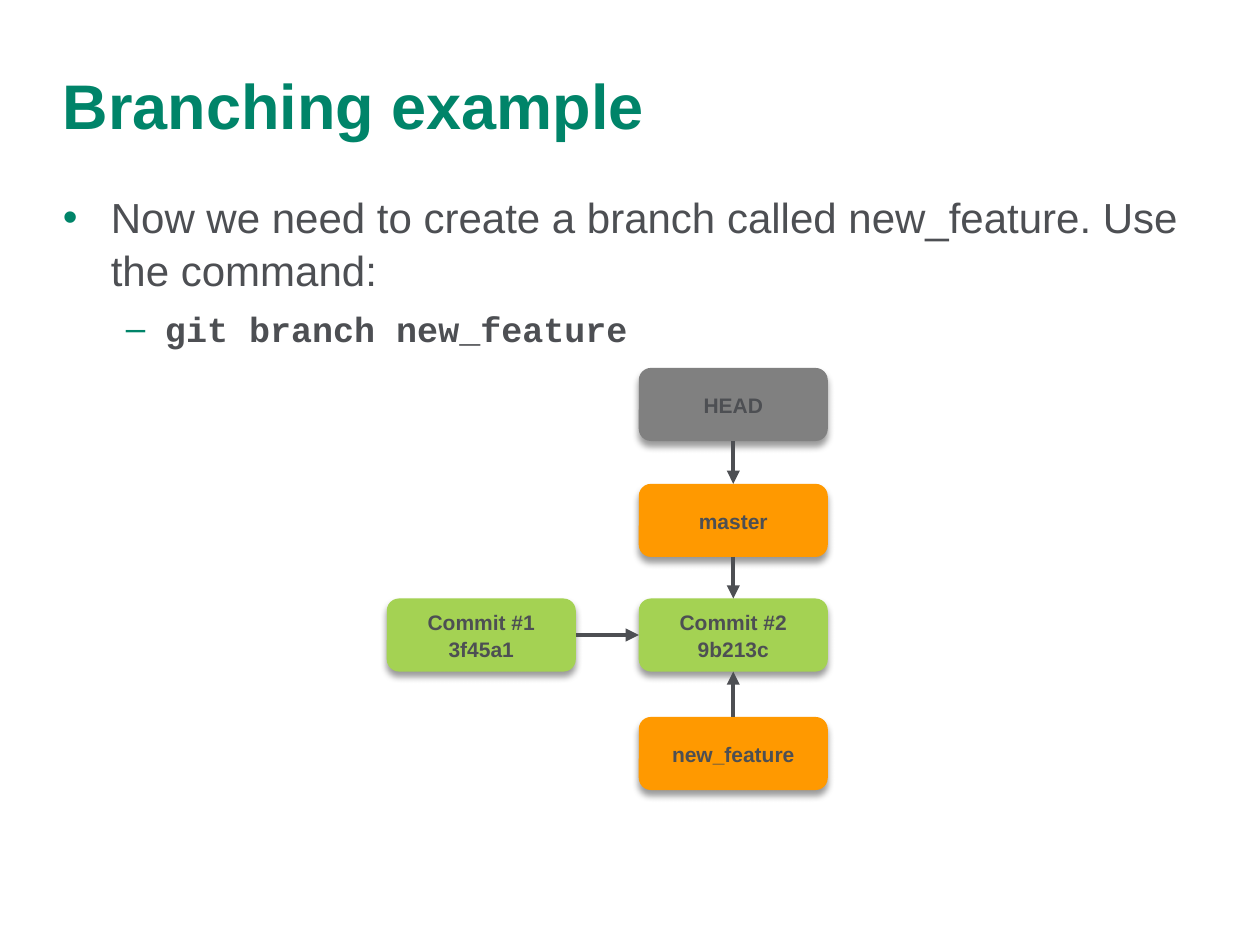
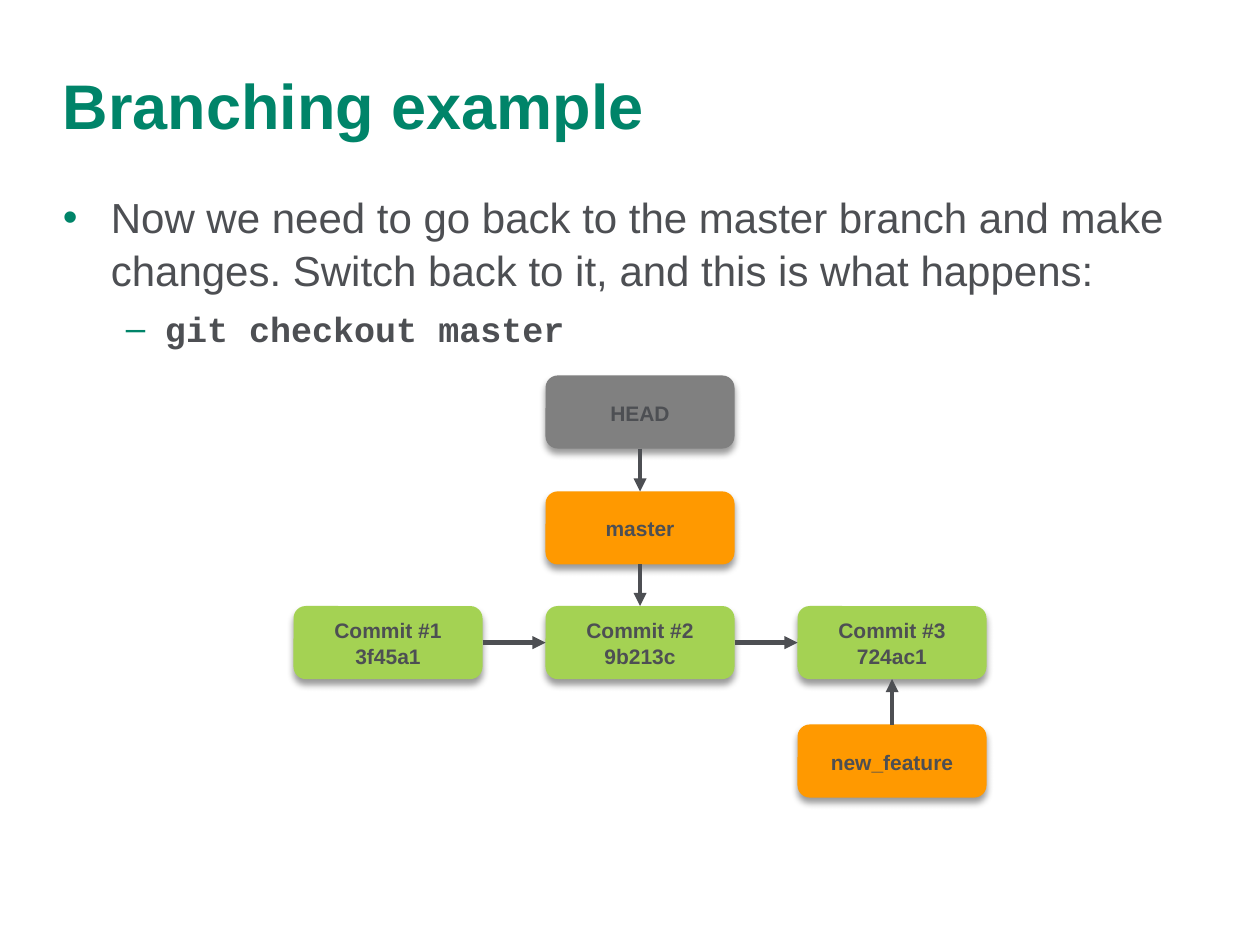
from lxml.etree import SubElement
from pptx import Presentation
from pptx.dml.color import RGBColor
from pptx.enum.shapes import MSO_CONNECTOR, MSO_SHAPE
from pptx.enum.text import MSO_ANCHOR, PP_ALIGN
from pptx.oxml import parse_xml
from pptx.oxml.ns import nsdecls, qn
from pptx.util import Inches, Pt

GREEN = RGBColor(0x00, 0x84, 0x69)
TEXT = RGBColor(0x4D, 0x4F, 0x53)
COMMIT = RGBColor(0xA4, 0xD2, 0x53)
BRANCH = RGBColor(0xFF, 0x99, 0x00)
HEAD = RGBColor(0x80, 0x80, 0x80)

# Diagram grid, in inches
COLUMN_STEP = 2
ROW_TOPS = [0, 0.92, 1.83, 2.77]
NODE_WIDTH, NODE_HEIGHT = 1.5, 0.58

# Connection sites of a rounded rectangle
TOP, LEFT, BOTTOM, RIGHT = range(4)

# Bullet, left margin, hanging indent, font, size and weight of each level
LEVELS = [
    ("•", 0.38, 0.38, "Arial", 24, False),
    ("–", 0.81, 0.31, "Courier New", 20, True),
]

SHADOW = f"""<a:effectLst {nsdecls("a")}>
  <a:outerShdw blurRad="{Pt(4)}" dist="{Pt(3)}" dir="5400000" rotWithShape="0">
    <a:srgbClr val="000000"><a:alpha val="40000"/></a:srgbClr>
  </a:outerShdw>
</a:effectLst>"""

# Nodes: text, column, row, fill. Arrows: start, its site, end, its site.
SHARED_NODES = [
    ("Commit #1\n3f45a1", 0, 2, COMMIT),
    ("Commit #2\n9b213c", 1, 2, COMMIT),
    ("master", 1, 1, BRANCH),
    ("HEAD", 1, 0, HEAD),
]
SHARED_ARROWS = [
    ("Commit #1", RIGHT, "Commit #2", LEFT),
    ("HEAD", BOTTOM, "master", TOP),
    ("master", BOTTOM, "Commit #2", TOP),
]
SLIDES = [
    {
        "body": ["Now we need to create a branch called new_feature. Use the command:",
                 "git branch new_feature"],
        "origin": (3.07, 2.92),
        "nodes": [("new_feature", 1, 3, BRANCH)],
        "arrows": [("new_feature", TOP, "Commit #2", BOTTOM)],
    },
    {
        "body": ["Now we need to go back to the master branch and make changes. "
                 "Switch back to it, and this is what happens:",
                 "git checkout master"],
        "origin": (2.33, 2.98),
        "nodes": [("new_feature", 2, 3, BRANCH),
                  ("Commit #3\n724ac1", 2, 2, COMMIT)],
        "arrows": [("new_feature", TOP, "Commit #3", BOTTOM),
                   ("Commit #2", RIGHT, "Commit #3", LEFT)],
    },
]


def clear_margins(frame):
    frame.word_wrap = True
    frame.margin_left = frame.margin_top = frame.margin_right = frame.margin_bottom = 0


def style(para, name, size, bold, color=TEXT):
    para.line_spacing = 1.05
    for span in para.runs:
        span.font.name = name
        span.font.size = Pt(size)
        span.font.bold = bold
        span.font.color.rgb = color


deck = Presentation()
deck.slide_width, deck.slide_height = Inches(10), Inches(7.5)

for content in SLIDES:
    page = deck.slides.add_slide(deck.slide_layouts[6])

    title = page.shapes.add_textbox(Inches(0.5), Inches(0.5), Inches(9), Inches(1)).text_frame
    clear_margins(title)
    title.text = "Branching example"
    style(title.paragraphs[0], "Arial", 36, True, GREEN)

    body = page.shapes.add_textbox(Inches(0.5), Inches(1.5), Inches(9), Inches(1.33)).text_frame
    clear_margins(body)
    body.text = "\n".join(content["body"])
    for level, para in enumerate(body.paragraphs):
        bullet, margin, hanging, name, size, bold = LEVELS[level]
        para.level = level
        para.space_before = Pt(6)
        style(para, name, size, bold)
        properties = para._p.get_or_add_pPr()
        properties.set("marL", str(Inches(margin)))
        properties.set("indent", str(-Inches(hanging)))
        bullet_color = SubElement(properties, qn("a:buClr"))
        SubElement(bullet_color, qn("a:srgbClr"), val=str(GREEN))
        SubElement(properties, qn("a:buFont"), typeface="Arial")
        SubElement(properties, qn("a:buChar"), char=bullet)

    left, top = content["origin"]
    nodes = {}
    for text, column, row, fill in SHARED_NODES + content["nodes"]:
        box = page.shapes.add_shape(
            MSO_SHAPE.ROUNDED_RECTANGLE,
            Inches(left + column * COLUMN_STEP), Inches(top + ROW_TOPS[row]),
            Inches(NODE_WIDTH), Inches(NODE_HEIGHT))
        box.fill.solid()
        box.fill.fore_color.rgb = fill
        box.line.fill.background()
        box._element.spPr.append(parse_xml(SHADOW))
        clear_margins(box.text_frame)
        box.text_frame.vertical_anchor = MSO_ANCHOR.MIDDLE
        box.text_frame.text = text
        for para in box.text_frame.paragraphs:
            para.alignment = PP_ALIGN.CENTER
            style(para, "Arial", 12, True)
        nodes[text.split("\n")[0]] = box

    for start, start_site, end, end_site in SHARED_ARROWS + content["arrows"]:
        arrow = page.shapes.add_connector(MSO_CONNECTOR.STRAIGHT, 0, 0, 0, 0)
        arrow.begin_connect(nodes[start], start_site)
        arrow.end_connect(nodes[end], end_site)
        arrow.line.color.rgb = TEXT
        arrow.line.width = Pt(2.5)
        SubElement(arrow.line._get_or_add_ln(), qn("a:tailEnd"), type="triangle")
        SubElement(arrow._element.spPr, qn("a:effectLst"))

deck.save("out.pptx")
